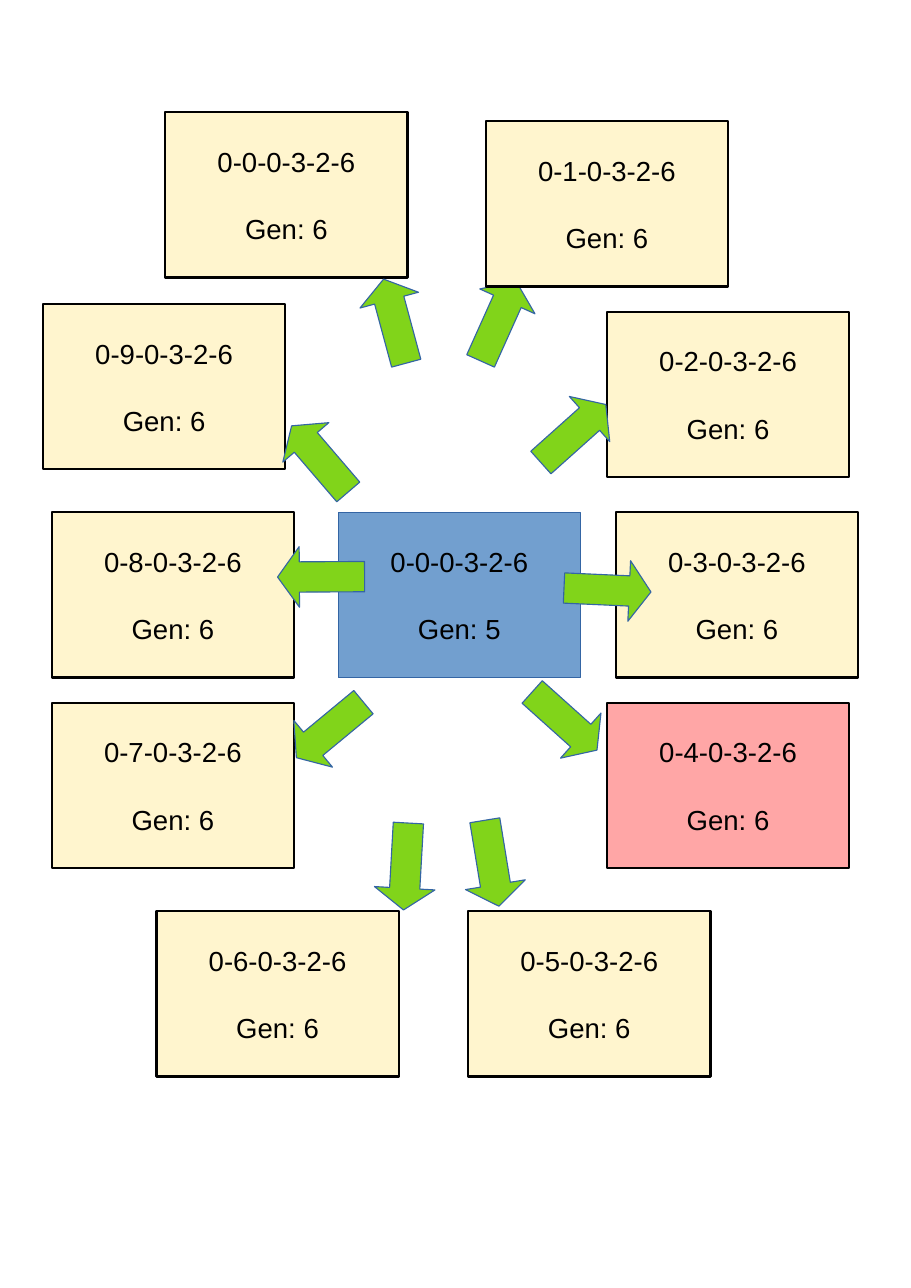
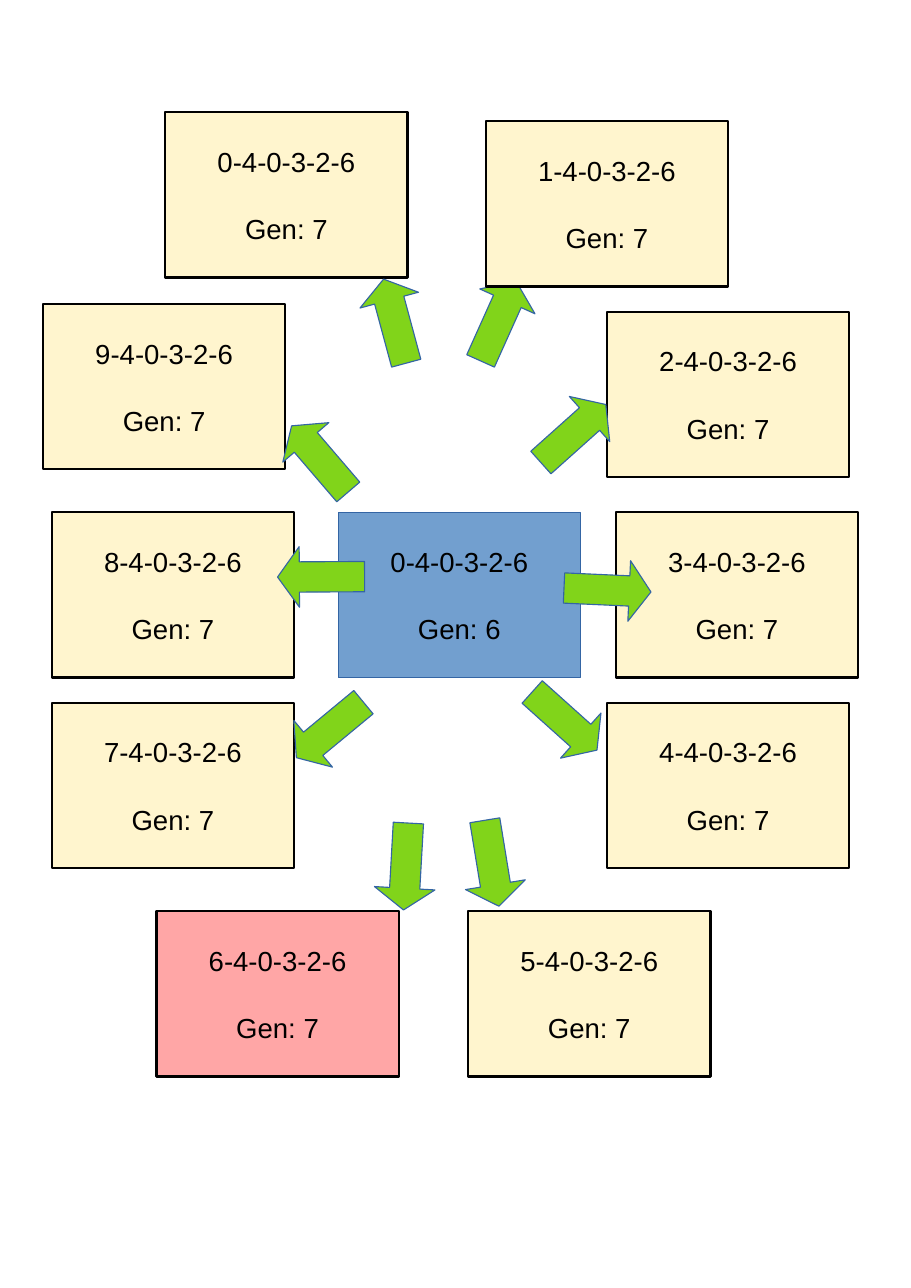
"""Build two slides of a parent code ringed by its ten child codes."""
import pptx
import pptx.dml.color
import pptx.enum.shapes
import pptx.enum.text
import pptx.util

Inches = pptx.util.Inches
Pt = pptx.util.Pt
Shapes = pptx.enum.shapes.MSO_SHAPE

COLORS = {
    "parent": "729FCF",
    "child": "FFF5CE",
    "chosen": "FFA6A6",
    "arrow": "81D41A",
    "outline": "3465A4",
    "ink": "000000",
}
BOX_SIZE = (2.2, 1.5)
ARROW_SIZE = (0.55, 0.79)
PARENT_PLACE = (3.07, 4.65)

CHILD_PLACES = [
    (1.5, 1.02), (4.41, 1.1), (5.51, 2.83), (5.59, 4.65), (5.51, 6.38),
    (4.25, 8.27), (1.42, 8.27), (0.47, 6.38), (0.47, 4.65), (0.39, 2.76),
]
ARROWS = [
    (3.31, 2.52, 344.9), (4.25, 2.52, 24.2), (4.93, 3.54, 48.2),
    (5.24, 4.96, 92.6), (4.85, 6.15, 131.9), (4.19, 7.44, 170.7),
    (3.41, 7.47, 183.2), (2.72, 6.23, 230.4), (2.64, 4.84, 269.7),
    (2.63, 3.77, 319.4),
]
ARROW_BEHIND_BOXES = 1

GENERATIONS = [
    {"parent": "0-0-0-3-2-6", "child": "0-{}-0-3-2-6", "gen": 5, "chosen": 4},
    {"parent": "0-4-0-3-2-6", "child": "{}-4-0-3-2-6", "gen": 6, "chosen": 6},
]


def add_figure(page, kind, place, size, fill, outline, weight):
    figure = page.shapes.add_shape(kind, *map(Inches, (*place, *size)))
    figure.shadow.inherit = False
    figure.fill.solid()
    figure.fill.fore_color.rgb = pptx.dml.color.RGBColor.from_string(COLORS[fill])
    figure.line.color.rgb = pptx.dml.color.RGBColor.from_string(COLORS[outline])
    figure.line.width = Pt(weight)
    return figure


def add_box(page, place, code, gen, fill, outline, weight):
    box = add_figure(page, Shapes.RECTANGLE, place, BOX_SIZE, fill, outline, weight)
    frame = box.text_frame
    frame.word_wrap = False
    frame.vertical_anchor = pptx.enum.text.MSO_ANCHOR.MIDDLE
    frame.text = f"{code}\nGen: {gen}"
    for para in frame.paragraphs:
        para.alignment = pptx.enum.text.PP_ALIGN.CENTER
        para.font.name = "Arial"
        para.font.size = Pt(18)
        para.font.color.rgb = pptx.dml.color.RGBColor.from_string(COLORS["ink"])
    frame.paragraphs[1].space_before = Pt(22.4)


deck = pptx.Presentation()
deck.slide_width = Inches(8.27)
deck.slide_height = Inches(11.69)

for generation in GENERATIONS:
    page = deck.slides.add_slide(deck.slide_layouts[6])
    gen = generation["gen"]
    add_box(page, PARENT_PLACE, generation["parent"], gen, "parent", "outline", 0)

    arrows = []
    for left, top, angle in ARROWS:
        arrow = add_figure(page, Shapes.UP_ARROW, (left, top), ARROW_SIZE,
                           "arrow", "outline", 0)
        arrow.adjustments[1] = 0.36
        arrow.rotation = angle
        arrows.append(arrow)

    for digit, place in enumerate(CHILD_PLACES):
        fill = "chosen" if digit == generation["chosen"] else "child"
        add_box(page, place, generation["child"].format(digit), gen + 1,
                fill, "ink", 1.5)

    for digit, arrow in enumerate(arrows):
        if digit != ARROW_BEHIND_BOXES:
            page.shapes.element.append(arrow.element)

deck.save("out.pptx")
